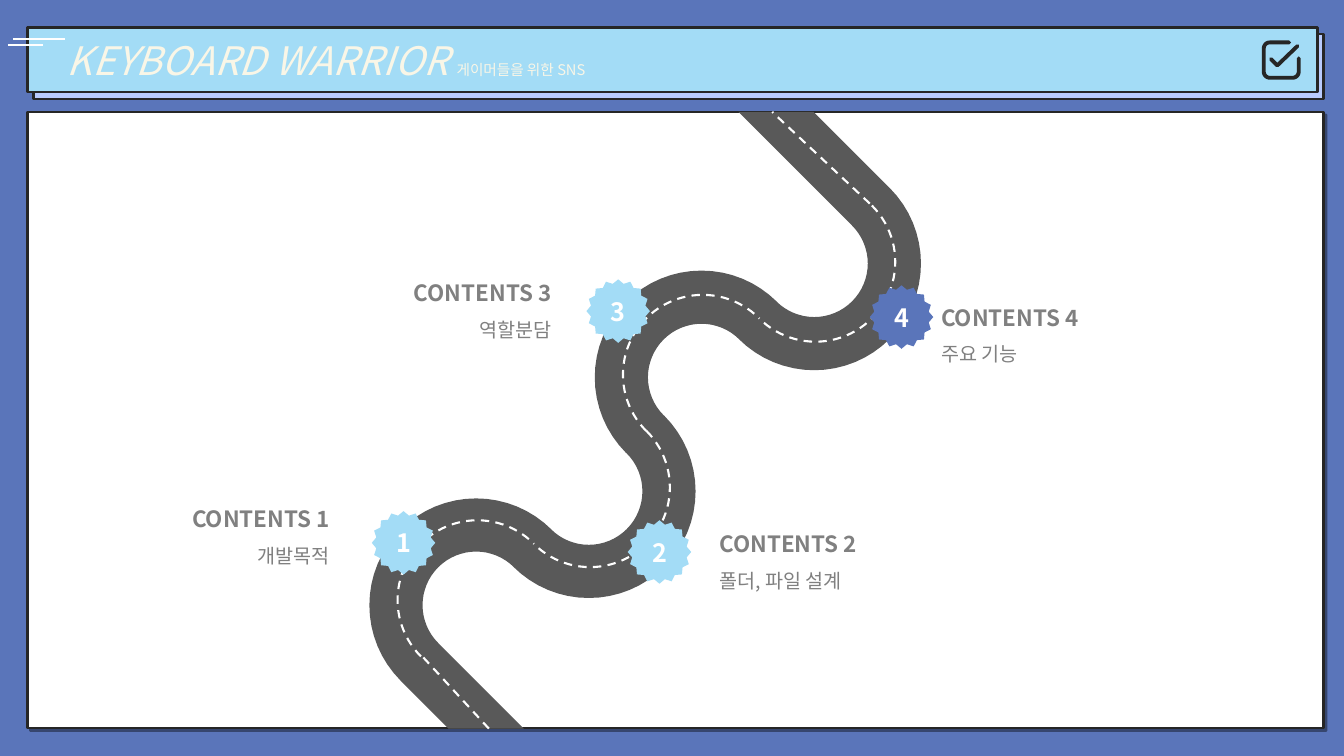
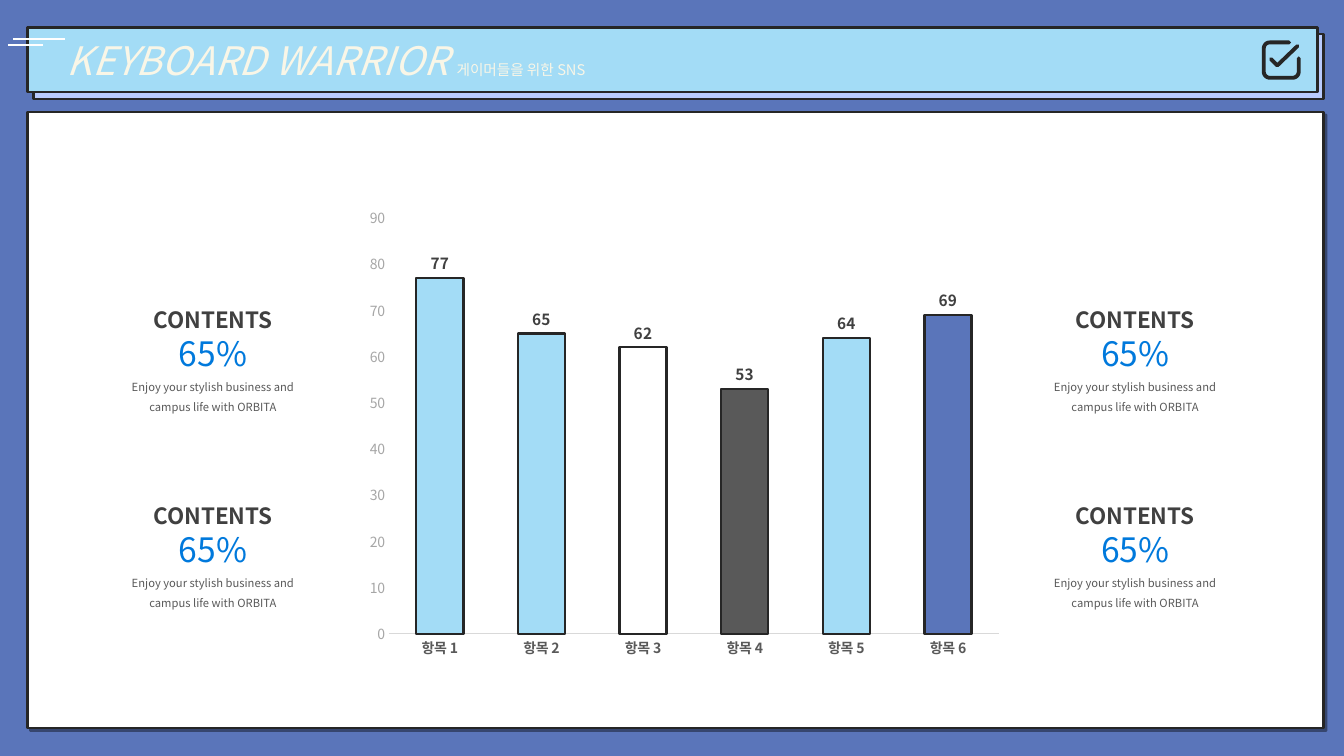
from math import cos, radians, sin

from lxml.etree import SubElement
from pptx import Presentation
from pptx.chart.data import CategoryChartData
from pptx.dml.color import RGBColor
from pptx.enum.chart import XL_CHART_TYPE, XL_LABEL_POSITION, XL_TICK_MARK
from pptx.enum.dml import MSO_LINE, MSO_PATTERN
from pptx.enum.shapes import MSO_CONNECTOR, MSO_SHAPE
from pptx.enum.text import MSO_ANCHOR, MSO_AUTO_SIZE, PP_ALIGN
from pptx.oxml import parse_xml
from pptx.oxml.ns import nsdecls, qn
from pptx.util import Cm, Pt

# Shared style
FONT = "Noto Sans CJK KR"
BLUE = RGBColor(0x5A, 0x75, 0xBA)
SKY = RGBColor(0xA3, 0xDC, 0xF6)
STRIPE = RGBColor(0xB9, 0xCB, 0xFD)
STRIPE_BACK = RGBColor(0x86, 0xA6, 0xFB)
CREAM = RGBColor(0xF9, 0xF6, 0xE7)
WHITE = RGBColor(0xFF, 0xFF, 0xFF)
INK = RGBColor(0x26, 0x26, 0x26)
DARK = RGBColor(0x40, 0x40, 0x40)
ASPHALT = RGBColor(0x59, 0x59, 0x59)
GRAY = RGBColor(0x80, 0x80, 0x80)
SILVER = RGBColor(0xA6, 0xA6, 0xA6)
PALE = RGBColor(0xD9, 0xD9, 0xD9)
ACCENT = RGBColor(0x00, 0x79, 0xDC)

PANEL_TOP, PANEL_BOTTOM = 2.82, 18.36
BORDER = 1.75
SHADOW = (
    f'<a:effectLst {nsdecls("a")}><a:outerShdw blurRad="0" dist="38100" dir="2700000" '
    'algn="tl" rotWithShape="0"><a:srgbClr val="000000"><a:alpha val="40000"/>'
    "</a:srgbClr></a:outerShdw></a:effectLst>"
)
TITLE_OUTLINE = (
    f'<a:ln {nsdecls("a")} w="15875"><a:solidFill>'
    '<a:srgbClr val="2F5597"/></a:solidFill></a:ln>'
)


def arc_points(center, radius, start, end, steps=32):
    """Points on a circle; angles in degrees, clockwise from the right."""
    angles = [radians(start + (end - start) * i / steps) for i in range(steps + 1)]
    return [(center[0] + radius * cos(a), center[1] + radius * sin(a)) for a in angles]


class Painter:
    def __init__(self):
        self.deck = Presentation()
        self.deck.slide_width, self.deck.slide_height = Cm(33.87), Cm(19.05)
        fill = self.deck.slide_master.background.fill
        fill.solid()
        fill.fore_color.rgb = BLUE
        self.page = None

    def new_page(self):
        self.page = self.deck.slides.add_slide(self.deck.slide_layouts[5])
        panel = self.shape(MSO_SHAPE.RECTANGLE, 0.69, PANEL_TOP, 32.66, 15.52, WHITE, INK)
        properties = panel.element.spPr
        properties.replace(properties.find(qn("a:effectLst")), parse_xml(SHADOW))
        band = self.shape(MSO_SHAPE.RECTANGLE, 0.84, 0.86, 32.51, 1.63, None, INK)
        band.fill.patterned()
        band.fill.pattern = MSO_PATTERN.DARK_HORIZONTAL
        band.fill.fore_color.rgb, band.fill.back_color.rgb = STRIPE, STRIPE_BACK
        self.title()
        self.check_icon()
        self.line((0.2, 1.14), (1.09, 1.14))
        self.line((0.33, 0.99), (1.63, 0.99))

    def title(self):
        title = self.page.shapes.title
        self.page.shapes.element.append(title.element)  # in front of the band
        title.left, title.top, title.width, title.height = map(Cm, (0.69, 0.69, 32.51, 1.63))
        self.paint(title, SKY, INK)
        frame = title.text_frame
        frame.auto_size = MSO_AUTO_SIZE.NONE
        frame.vertical_anchor = MSO_ANCHOR.MIDDLE
        para = frame.paragraphs[0]
        para.alignment = PP_ALIGN.LEFT
        para._p.get_or_add_pPr().set("marL", str(Cm(0.74)))
        name = self.span(para, "KEYBOARD WARRIOR ", 28, CREAM, italic=True)
        name._r.get_or_add_rPr().insert(0, parse_xml(TITLE_OUTLINE))
        self.span(para, "게이머들을 위한 SNS", 10.5, CREAM)

    def check_icon(self):
        left, top, right, bottom, radius = 31.85, 1.07, 32.73, 1.96, 0.15
        frame = [(32.49, top)]
        frame += arc_points((left + radius, top + radius), radius, 270, 180, 8)
        frame += arc_points((left + radius, bottom - radius), radius, 180, 90, 8)
        frame += arc_points((right - radius, bottom - radius), radius, 90, 0, 8)
        frame.append((right, 1.47))
        tick = [(32.03, 1.49), (32.19, 1.65), (32.7, 1.16)]
        for points in (tick, frame):
            stroke = self.outline(points, None, INK, closed=False)
            stroke.line.width = Pt(2.75)
            stroke.line._get_or_add_ln().set("cap", "rnd")

    def paint(self, shape, fill, line=None, width=BORDER):
        if fill is None:
            shape.fill.background()
        else:
            shape.fill.solid()
            shape.fill.fore_color.rgb = fill
        if line is None:
            shape.line.fill.background()
        else:
            shape.line.color.rgb = line
            shape.line.width = Pt(width)

    def shape(self, kind, left, top, width, height, fill, line=None):
        shape = self.page.shapes.add_shape(kind, Cm(left), Cm(top), Cm(width), Cm(height))
        shape.shadow.inherit = False
        self.paint(shape, fill, line)
        return shape

    def outline(self, points, fill, line=None, closed=True):
        corners = [(Cm(x), Cm(y)) for x, y in points]
        builder = self.page.shapes.build_freeform(*corners[0])
        builder.add_line_segments(corners[1:], close=closed)
        shape = builder.convert_to_shape()
        shape.shadow.inherit = False
        self.paint(shape, fill, line)
        return shape

    def line(self, start, end, dash=None):
        line = self.page.shapes.add_connector(
            MSO_CONNECTOR.STRAIGHT, *map(Cm, (*start, *end)))
        line.line.color.rgb = WHITE
        line.line.width = Pt(1.5)
        line.line.dash_style = dash
        SubElement(line.element.spPr, qn("a:effectLst"))

    def dashed_arc(self, center, radius, rotation):
        arc = self.shape(MSO_SHAPE.ARC, center[0] - radius, center[1] - radius,
                         2 * radius, 2 * radius, None, WHITE)
        arc.adjustments[0], arc.adjustments[1] = 108, 0
        arc.rotation = rotation
        arc.line.width = Pt(1.5)
        arc.line.dash_style = MSO_LINE.DASH

    def span(self, para, text, size, color, bold=False, italic=False):
        span = para.add_run()
        span.text = text
        font = span.font
        font.size, font.bold, font.italic, font.name = Pt(size), bold, italic, FONT
        font.color.rgb = color
        SubElement(span._r.get_or_add_rPr(), qn("a:ea")).set("typeface", FONT)
        return span

    def text(self, left, top, width, height, rows, align):
        """Each row is text, size, colour, bold, line spacing."""
        box = self.page.shapes.add_textbox(Cm(left), Cm(top), Cm(width), Cm(height))
        frame = box.text_frame
        frame.word_wrap = True
        frame.auto_size = MSO_AUTO_SIZE.SHAPE_TO_FIT_TEXT
        for index, (text, size, color, bold, spacing) in enumerate(rows):
            para = frame.add_paragraph() if index else frame.paragraphs[0]
            para.alignment = align
            para.line_spacing = spacing
            self.span(para, text, size, color, bold)

    def badge(self, left, top, text, fill):
        star = self.shape(MSO_SHAPE.STAR_16_POINT, left, top, 1.6, 1.6, fill)
        star.adjustments[0] = 0.437
        frame = star.text_frame
        frame.margin_left = frame.margin_right = frame.margin_top = frame.margin_bottom = 0
        frame.vertical_anchor = MSO_ANCHOR.MIDDLE
        para = frame.paragraphs[0]
        para.alignment = PP_ALIGN.CENTER
        self.span(para, text, 18, WHITE, bold=True)

    def style_font(self, font, size, color, bold=False):
        font.size, font.bold, font.name = Pt(size), bold, FONT
        font.color.rgb = color

    def column_chart(self, left, top, width, height, names, values, colors):
        data = CategoryChartData()
        data.categories = names
        data.add_series("Series 1", values)
        chart = self.page.shapes.add_chart(
            XL_CHART_TYPE.COLUMN_CLUSTERED, Cm(left), Cm(top), Cm(width), Cm(height), data).chart
        chart.has_legend = chart.has_title = False
        self.style_font(chart.font, 10, RGBColor(0, 0, 0))
        # Axes
        names_axis, values_axis = chart.category_axis, chart.value_axis
        for axis in (names_axis, values_axis):
            axis.major_tick_mark = axis.minor_tick_mark = XL_TICK_MARK.NONE
            axis.has_major_gridlines = False
        self.style_font(names_axis.tick_labels.font, 10, ASPHALT, bold=True)
        names_axis.format.line.color.rgb = PALE
        names_axis.format.line.width = Pt(0.75)
        self.style_font(values_axis.tick_labels.font, 10, SILVER)
        values_axis.format.line.fill.background()
        values_axis.minimum_scale, values_axis.maximum_scale = 0, 90
        values_axis.major_unit = 10
        # Columns and their labels
        plot = chart.plots[0]
        plot.gap_width, plot.overlap, plot.vary_by_categories = 116, -27, False
        series = plot.series[0]
        self.paint(series.format, SKY, INK)
        for index, color in colors.items():
            self.paint(series.points[index].format, color, INK)
        labels = series.data_labels
        labels.show_value = True
        labels.position = XL_LABEL_POSITION.OUTSIDE_END
        self.style_font(labels.font, 11, DARK, bold=True)


def road_edge(offset):
    """One side of the road: half circles chained along a diagonal."""
    points = []
    for bend in range(4):
        sign = 1 if bend % 2 == 0 else -1
        center = (20.52 - 2.84 * bend, 6.64 + 2.87 * bend)
        end = 135 if sign == 1 else -225
        points += arc_points(center, 2.02 + sign * offset, -45, end)
    (first_x, first_y), (last_x, last_y) = points[0], points[-1]
    start = (first_x - (first_y - PANEL_TOP), PANEL_TOP)
    finish = (last_x + (PANEL_BOTTOM - last_y), PANEL_BOTTOM)
    return [start, *points, finish]


painter = Painter()

# Slide 1: road map
painter.new_page()
painter.outline(road_edge(0.67) + road_edge(-0.67)[::-1], ASPHALT)
for bend in range(4):
    painter.dashed_arc((20.55 - 2.84 * bend, 6.6 + 2.84 * bend), 2.01, 135 + 180 * (bend % 2))
painter.line((21.92, 5.13), (19.46, PANEL_TOP), MSO_LINE.DASH)
painter.line((12.32, PANEL_BOTTOM), (10.57, 16.46), MSO_LINE.DASH)

STOPS = [  # number, topic, badge place, badge colour, text place and width, alignment
    ("1", "개발목적", (9.37, 12.88), SKY, (1.22, 12.27, 7.34), PP_ALIGN.RIGHT),
    ("2", "폴더, 파일 설계", (15.82, 13.11), SKY, (17.88, 12.9, 7.52), PP_ALIGN.LEFT),
    ("3", "역할분담", (14.78, 7.04), SKY, (6.43, 6.58, 7.72), PP_ALIGN.RIGHT),
    ("4", "주요 기능", (21.92, 7.19), BLUE, (23.47, 7.19, 7.7), PP_ALIGN.LEFT),
]
for number, topic, badge_place, color, text_place, align in STOPS:
    painter.badge(*badge_place, number, color)
    rows = [(f"CONTENTS {number}", 16, GRAY, True, 1.5), (topic, 14, GRAY, False, 1.5)]
    painter.text(*text_place, 2.06, rows, align)

# Slide 2: column chart between four figures
painter.new_page()
painter.column_chart(8.99, 5, 16.51, 11.81, [f"항목 {n}" for n in range(1, 7)],
                     [77, 65, 62, 53, 64, 69], {2: WHITE, 3: ASPHALT, 5: BLUE})
FIGURE = [
    ("CONTENTS", 16, DARK, True, 1.5),
    ("65%", 24, ACCENT, False, 1.0),
    ("Enjoy your stylish business and", 8, ASPHALT, False, 1.5),
    ("campus life with ORBITA", 8, ASPHALT, False, 1.5),
]
for left in (2.41, 25.65):
    for top in (7.26, 12.19):
        painter.text(left, top, 5.92, 3.33, FIGURE, PP_ALIGN.CENTER)

painter.deck.save("out.pptx")
